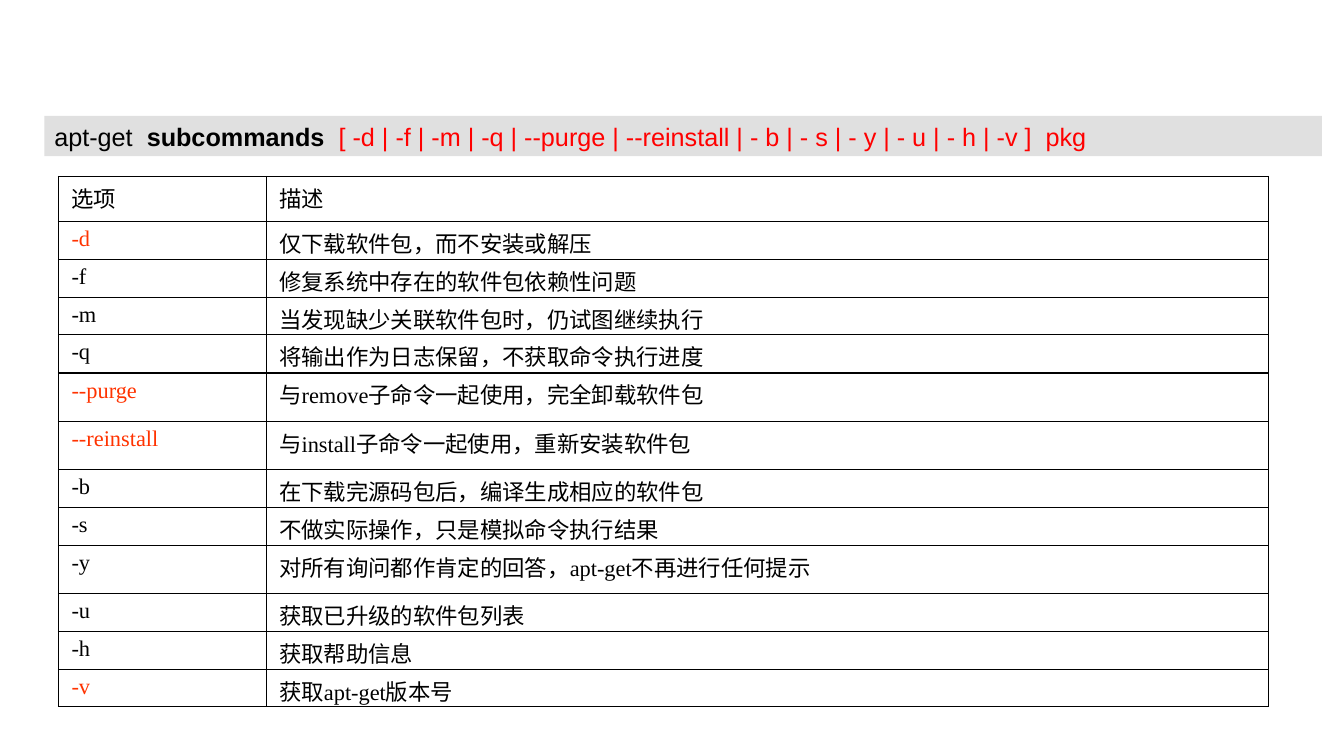
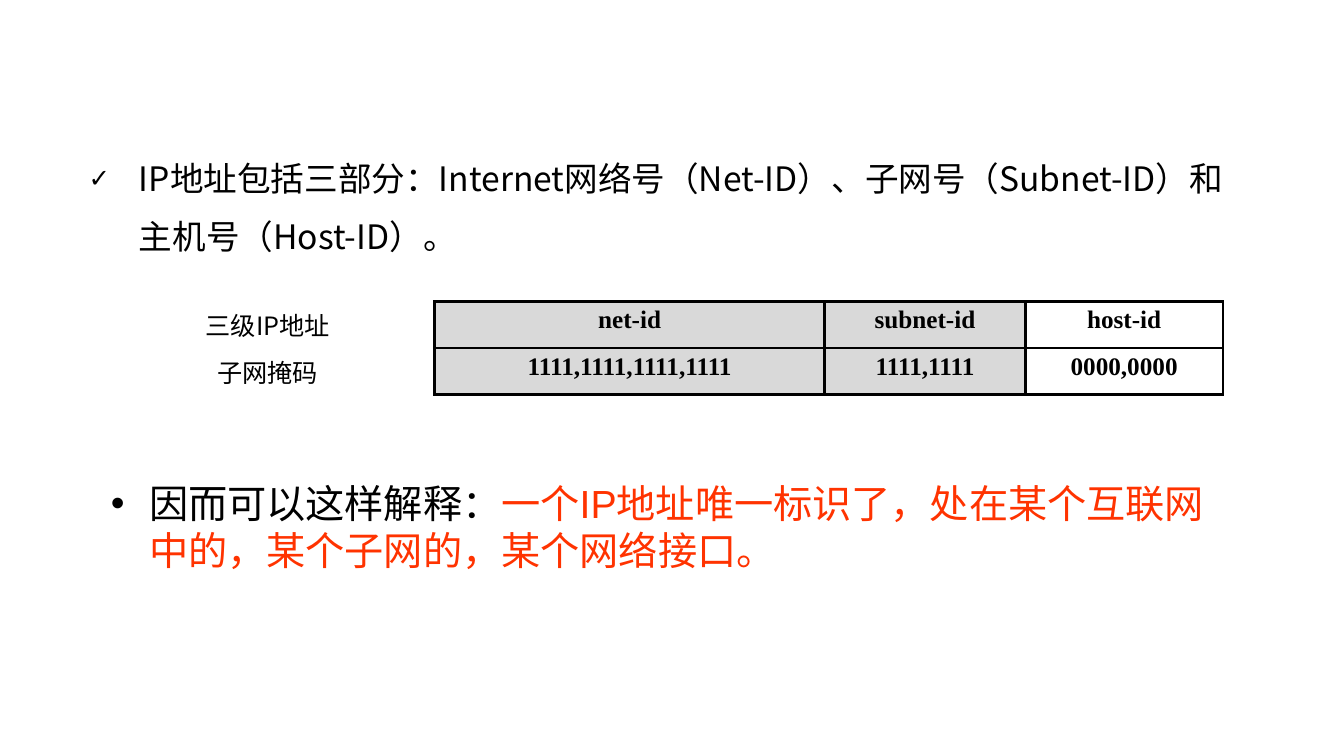
import pptx
import pptx.util
import pptx.dml.color
import pptx.enum.shapes
import pptx.enum.text
import pptx.oxml
import pptx.oxml.ns
from lxml import etree

Inches = pptx.util.Inches
Pt = pptx.util.Pt
RGB = pptx.dml.color.RGBColor
ALIGN = pptx.enum.text.PP_ALIGN
ANCHOR = pptx.enum.text.MSO_ANCHOR
qn = pptx.oxml.ns.qn

BLACK = RGB(0x00, 0x00, 0x00)
ORANGE = RGB(0xFF, 0x33, 0x00)
RED = RGB(0xFF, 0x00, 0x00)
BAND = RGB(0xE0, 0xE0, 0xE0)
SHADE = RGB(0xD9, 0xD9, 0xD9)
SANS = "Arial"
SERIF = "Times New Roman"
CJK = "Noto Sans CJK SC"


def edge(cell, widths):
    props = cell._tc.get_or_add_tcPr()
    for spot, (side, width) in enumerate(zip("LRTB", widths)):
        line = etree.Element(qn("a:ln" + side), w=str(Pt(width)))
        if width:
            fill = etree.SubElement(line, qn("a:solidFill"))
            etree.SubElement(fill, qn("a:srgbClr"), val=str(BLACK))
        else:
            etree.SubElement(line, qn("a:noFill"))
        props.insert(spot, line)


def bullet(para, mark, hang, size):
    props = para._p.get_or_add_pPr()
    props.set("marL", str(Inches(hang)))
    props.set("indent", str(-Inches(hang)))
    color = etree.SubElement(props, qn("a:buClr"))
    etree.SubElement(color, qn("a:srgbClr"), val=str(BLACK))
    etree.SubElement(props, qn("a:buSzPct"), val=str(size * 1000))
    etree.SubElement(props, qn("a:buFont"), typeface=SANS)
    etree.SubElement(props, qn("a:buChar"), char=mark)


deck = pptx.Presentation()
deck.slide_width = Inches(13.33)
deck.slide_height = Inches(7.5)
blank = deck.slide_layouts[6]

page = deck.slides.add_slide(blank)

opts = [
    ("选项", "描述", 0.45, BLACK),
    ("-d", "仅下载软件包，而不安装或解压", 0.37, ORANGE),
    ("-f", "修复系统中存在的软件包依赖性问题", 0.38, BLACK),
    ("-m", "当发现缺少关联软件包时，仍试图继续执行", 0.37, BLACK),
    ("-q", "将输出作为日志保留，不获取命令执行进度", 0.38, BLACK),
    ("--purge", "与remove子命令一起使用，完全卸载软件包", 0.48, ORANGE),
    ("--reinstall", "与install子命令一起使用，重新安装软件包", 0.48, ORANGE),
    ("-b", "在下载完源码包后，编译生成相应的软件包", 0.37, BLACK),
    ("-s", "不做实际操作，只是模拟命令执行结果", 0.38, BLACK),
    ("-y", "对所有询问都作肯定的回答，apt-get不再进行任何提示", 0.48, BLACK),
    ("-u", "获取已升级的软件包列表", 0.37, BLACK),
    ("-h", "获取帮助信息", 0.38, BLACK),
    ("-v", "获取apt-get版本号", 0.37, ORANGE),
]
grid = page.shapes.add_table(
    len(opts), 2, Inches(0.58), Inches(1.75), Inches(12), Inches(5.26)).table
grid.first_row = grid.horz_banding = False
grid.columns[0].width = Inches(2.06)
grid.columns[1].width = Inches(9.94)
for row, (flag, note, tall, tint) in zip(grid.rows, opts):
    row.height = Inches(tall)
    for cell, text, color in zip(row.cells, (flag, note), (tint, BLACK)):
        cell.text = text
        cell.margin_left = cell.margin_right = Inches(0.13)
        cell.margin_top = Inches(0.05)
        cell.margin_bottom = 0
        cell.fill.background()
        edge(cell, (1, 1, 1, 1))
        font = cell.text_frame.paragraphs[0].font
        font.name = SERIF
        font.size = Pt(16)
        font.color.rgb = color

usage = page.shapes.add_shape(
    pptx.enum.shapes.MSO_SHAPE.RECTANGLE,
    Inches(0.44), Inches(1.15), Inches(12.67), Inches(0.4))
usage.shadow.inherit = False
usage.fill.solid()
usage.fill.fore_color.rgb = BAND
usage.line.fill.background()
frame = usage.text_frame
frame.word_wrap = True
frame.vertical_anchor = ANCHOR.MIDDLE
para = frame.paragraphs[0]
para.alignment = ALIGN.LEFT
para.font.name = SANS
para.font.size = Pt(18)
for text, color, bold in [
    ("apt-get  ", BLACK, False),
    ("subcommands  ", BLACK, True),
    ("[ -d | -f | -m | -q | --purge | --reinstall | - b | - s | - y | - u | - h | -v ]  pkg",
     RED, False),
]:
    run = para.add_run()
    run.text = text
    run.font.bold = bold
    run.font.color.rgb = color

page = deck.slides.add_slide(blank)

parts = [
    ("三级IP地址", "net-id", "subnet-id", "host-id"),
    ("子网掩码", "1111,1111,1111,1111", "1111,1111", "0000,0000"),
]
grid = page.shapes.add_table(
    2, 4, Inches(1), Inches(2.99), Inches(11.13), Inches(0.92)).table
grid.first_row = grid.horz_banding = False
for col, wide in zip(grid.columns, (3.31, 3.87, 1.99, 1.96)):
    col.width = Inches(wide)
for row, texts in zip(grid.rows, parts):
    row.height = Inches(0.46)
    for spot, (cell, text) in enumerate(zip(row.cells, texts)):
        label = spot == 0
        cell.text = text
        cell.margin_left = cell.margin_right = Inches(0.13)
        cell.margin_top = cell.margin_bottom = Inches(0.05)
        if spot in (1, 2):
            cell.fill.solid()
            cell.fill.fore_color.rgb = SHADE
        else:
            cell.fill.background()
        edge(cell, (0, 2, 0, 0) if label else (2, 2, 2, 2))
        para = cell.text_frame.paragraphs[0]
        para.alignment = ALIGN.CENTER
        para.font.name = CJK if label else SERIF
        para.font.size = Pt(18)
        para.font.bold = not label
        para.font.color.rgb = BLACK

points = [
    ((0.78, 1.35, 11.73, 1.3), "✓", 0.5, 76, CJK, 24, 41, [
        ("IP地址包括三部分：Internet网络号（Net-ID）、子网号（Subnet-ID）和主机号（Host-ID）。", BLACK)]),
    ((1, 4.7, 11.39, 1.04), "•", 0.38, 100, SANS, 28, 34, [
        ("因而可以这样解释：", BLACK),
        ("一个IP地址唯一标识了，处在某个互联网中的，某个子网的，某个网络接口。", ORANGE)]),
]
for place, mark, hang, scale, face, size, pitch, runs in points:
    frame = page.shapes.add_textbox(*map(Inches, place)).text_frame
    frame.word_wrap = True
    para = frame.paragraphs[0]
    bullet(para, mark, hang, scale)
    para.line_spacing = Pt(pitch)
    para.font.name = face
    para.font.size = Pt(size)
    for text, color in runs:
        run = para.add_run()
        run.text = text
        run.font.color.rgb = color

deck.save("out.pptx")
